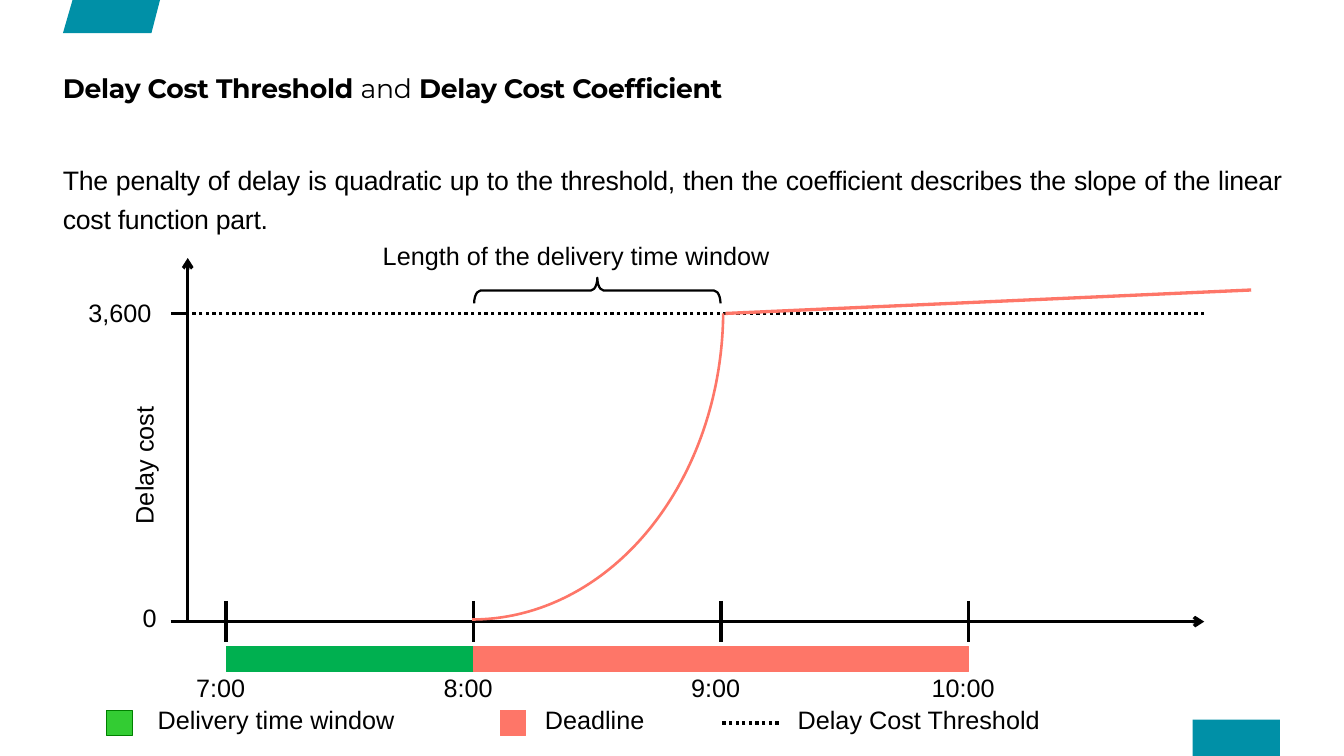
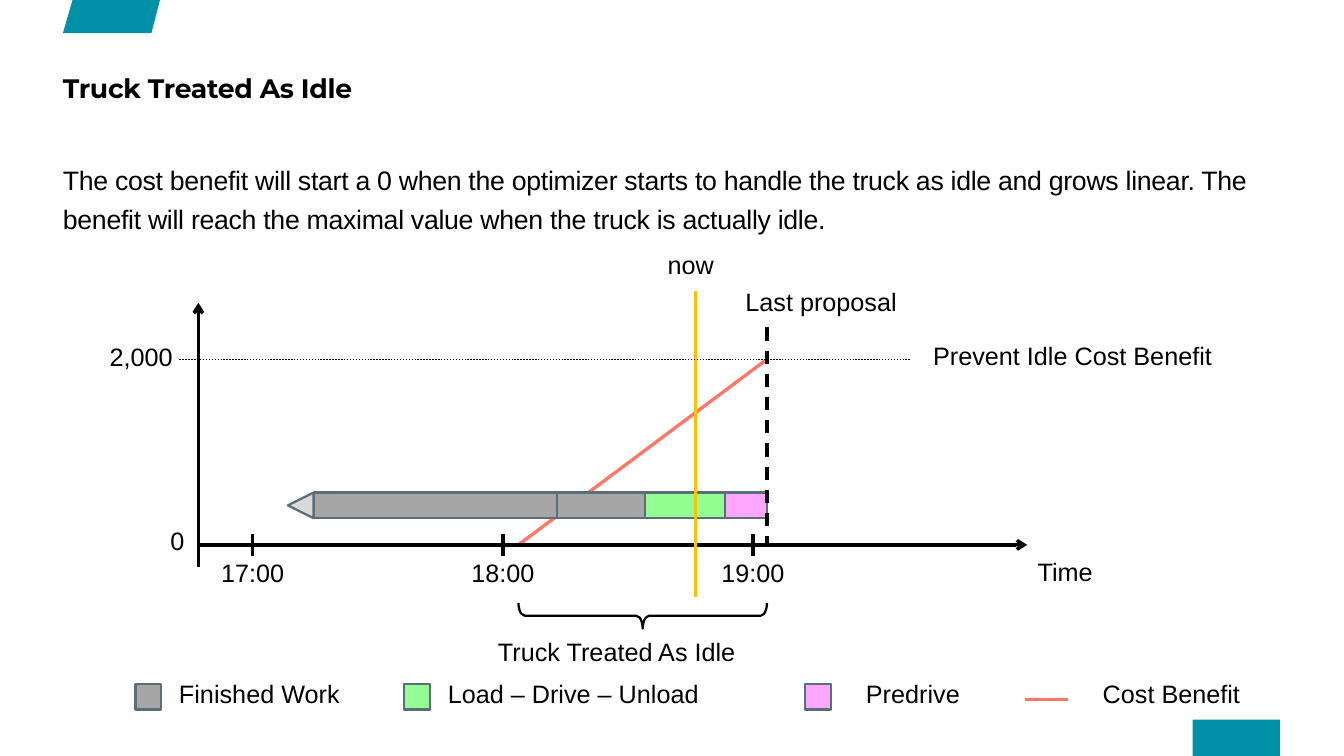
from pptx import Presentation
from pptx.dml.color import RGBColor
from pptx.enum.dml import MSO_LINE
from pptx.enum.shapes import MSO_CONNECTOR, MSO_SHAPE
from pptx.enum.text import MSO_ANCHOR, MSO_AUTO_SIZE, PP_ALIGN
from pptx.oxml.ns import qn
from pptx.util import Inches, Pt
from lxml.etree import SubElement

# Grid: columns and rows of a tenth of an inch
COLUMNS, ROWS = 126, 70.9
LEFT = 5.9

BLACK, TEAL, RED, AMBER = "000000", "0090A7", "FE7668", "FFC000"
GREEN, GREY, SLATE = "00B050", "A6A6A6", "5A6E78"
LIGHT_GREEN, PINK = "93FF93", "FFA6FF"
TITLE_FONT, TEXT_FONT = "Montserrat", "Arial"


def grid(*values):
    return [Inches(value / 10) for value in values]


def color(hex_string):
    return RGBColor.from_string(hex_string)


# Text
def format_run(run, size, font_name=TEXT_FONT, bold=False, spacing=0):
    run.font.size = Pt(size)
    run.font.name = font_name
    run.font.bold = bold
    run.font.color.rgb = color(BLACK)
    if spacing:
        run.font._element.set("spc", str(spacing))


def prepare_frame(shape, margins):
    frame = shape.text_frame
    frame.word_wrap = True
    frame.auto_size = MSO_AUTO_SIZE.NONE
    frame.vertical_anchor = MSO_ANCHOR.TOP
    frame.margin_left = frame.margin_right = Inches(margins[0])
    frame.margin_top = frame.margin_bottom = Inches(margins[1])
    return frame


def add_text(slide, text, box, size=17, align=PP_ALIGN.LEFT, margins=(0.1, 0.05),
             line_spacing=None, spacing=0, rotation=0):
    shape = slide.shapes.add_textbox(*grid(*box))
    shape.rotation = rotation
    frame = prepare_frame(shape, margins)
    frame.text = text
    paragraph = frame.paragraphs[0]
    paragraph.alignment = align
    if line_spacing:
        paragraph.line_spacing = line_spacing
    format_run(paragraph.runs[0], size, spacing=spacing)


def add_label(slide, text, left, top, width=40):
    add_text(slide, text, (left, top, width, 3.9))


def set_title(slide, parts):
    title = slide.shapes.title
    title.left, title.top, title.width, title.height = grid(LEFT, 6.7, 76, 6.7)
    paragraph = prepare_frame(title, (0, 0)).paragraphs[0]
    paragraph.alignment = PP_ALIGN.LEFT
    for text, bold in parts:
        run = paragraph.add_run()
        run.text = text
        format_run(run, 18, TITLE_FONT, bold, -20)


# Shapes and lines
def style_shape(shape, fill=None, line=None, weight=0.75):
    shape.shadow.inherit = False
    if fill:
        shape.fill.solid()
        shape.fill.fore_color.rgb = color(fill)
    else:
        shape.fill.background()
    if line:
        shape.line.color.rgb = color(line)
        shape.line.width = Pt(weight)
    else:
        shape.line.fill.background()


def add_shape(slide, kind, box, fill=None, line=None, weight=0.75,
              rotation=0, adjustments=()):
    shape = slide.shapes.add_shape(kind, *grid(*box))
    shape.rotation = rotation
    for index, value in enumerate(adjustments):
        shape.adjustments[index] = value
    style_shape(shape, fill, line, weight)


def add_line(slide, start, end, line=BLACK, weight=2.25, dash=None, arrow=False):
    connector = slide.shapes.add_connector(
        MSO_CONNECTOR.STRAIGHT, *grid(*start, *end))
    connector.line.color.rgb = color(line)
    connector.line.width = Pt(weight)
    if dash:
        connector.line.dash_style = dash
    properties = connector._element.spPr
    if arrow:
        SubElement(properties.find(qn("a:ln")), qn("a:tailEnd"), type="arrow")
    SubElement(properties, qn("a:effectLst"))


def add_brace(slide, center, middle, length, rotation):
    depth = 2.4
    box = (center - depth / 2, middle - length / 2, depth, length)
    add_shape(slide, MSO_SHAPE.RIGHT_BRACE, box, line=BLACK, weight=1.5,
              rotation=rotation, adjustments=(0.25, 0.5))


# Chart parts
def add_bars(slide, edges, top, fills, lines, weight):
    for left, right, fill, line in zip(edges, edges[1:], fills, lines):
        add_shape(slide, MSO_SHAPE.RECTANGLE, (left, top, right - left, 2.4),
                  fill, line, weight)


def add_hours(slide, hours, first, step, axis, tick, label_top, shift=0):
    for index, hour in enumerate(hours):
        position = first + index * step
        add_line(slide, (position, axis - tick), (position, axis + tick))
        add_text(slide, hour, (position + shift - 5, label_top, 10, 3.9),
                 align=PP_ALIGN.CENTER)


def add_legend(slide, top, boxes):
    for left, label_left, text, fill, line, weight in boxes:
        add_shape(slide, MSO_SHAPE.RECTANGLE, (left, top, 2.4, 2.4),
                  fill, line, weight)
        add_label(slide, text, label_left, top - 1)


# Shared frame of every slide
def add_content_slide(presentation, title_parts, text, align=PP_ALIGN.LEFT):
    slide = presentation.slides.add_slide(presentation.slide_layouts[5])
    set_title(slide, title_parts)
    corners = [(6.8, 0), (LEFT, 3.1), (14.2, 3.1), (15, 0)]
    points = [grid(*corner) for corner in corners]
    builder = slide.shapes.build_freeform(*points[0])
    builder.add_line_segments(points[1:], close=True)
    style_shape(builder.convert_to_shape(), TEAL)
    add_shape(slide, MSO_SHAPE.RECTANGLE, (111.8, 67.5, 8.2, ROWS - 67.5), TEAL)
    add_text(slide, text, (LEFT, 14.8, 114.3, 8), 18, align, (0, 0), 1.2, -20)
    return slide


def build_delay_cost(presentation):
    slide = add_content_slide(
        presentation,
        [("Delay Cost Threshold ", True), ("and", False),
         (" Delay Cost Coefficient", True)],
        "The penalty of delay is quadratic up to the threshold, then the "
        "coefficient describes the slope of the linear cost function part.",
        PP_ALIGN.JUSTIFY)
    axis, origin, threshold, first, step = 58.3, 17.6, 29.4, 21.2, 23.2

    # Axes, hours and time bars
    add_line(slide, (16, axis), (112.9, axis), arrow=True)
    add_hours(slide, ["7:00", "8:00", "9:00", "10:00"], first, step, axis, 1.95,
              62.6, -0.5)
    add_bars(slide, (first, first + step, first + 3 * step), 60.6,
             (GREEN, RED), (GREEN, RED), 0.75)
    add_line(slide, (origin, axis), (origin, 24.2), arrow=True)
    add_line(slide, (origin, threshold), (16, threshold))
    add_text(slide, "Delay cost", (6.9, 41.6, 13.2, 3.9), rotation=270)
    add_label(slide, "0", 12.4, 56, 4)
    add_label(slide, "3,600", 7.3, 27.4, 9)

    # Threshold and cost curve
    add_line(slide, (112.9, threshold), (origin, threshold),
             dash=MSO_LINE.ROUND_DOT)
    add_shape(slide, MSO_SHAPE.ARC, (15.2, 5.5, 58.1, 47.1), line=RED,
              weight=1.75, rotation=90, adjustments=(162.51, 0))
    add_line(slide, (117.3, 27.2), (68, threshold), RED)
    add_brace(slide, 56, 27.25, 23.1, 270)
    add_label(slide, "Length of the delivery time window", 34.9, 22, 57)

    # Legend
    add_legend(slide, 66.6, [
        (10, 13.8, "Delivery time window", "33CC33", "008000", 0.75),
        (46.9, 50.1, "Deadline", RED, RED, 0.75)])
    add_line(slide, (73, 67.8), (67.7, 67.8), dash=MSO_LINE.ROUND_DOT)
    add_label(slide, "Delay Cost Threshold", 73.8, 65.6)


def build_truck_idle(presentation):
    slide = add_content_slide(
        presentation, [("Truck Treated As Idle", True)],
        "The cost benefit will start a 0 when the optimizer starts to handle "
        "the truck as idle and grows linear. The benefit will reach the maximal "
        "value when the truck is actually idle.")
    axis, origin, benefit, idle_start, idle_end = 51.1, 18.6, 33.7, 48.6, 71.9

    # Cost benefit behind the truck's work
    add_line(slide, (idle_end, benefit), (idle_start, axis), RED)
    add_shape(slide, MSO_SHAPE.ISOSCELES_TRIANGLE, (27, 46.2, 2.4, 2.4),
              "D9D9D9", SLATE, 1.5, 270)
    add_bars(slide, (29.4, 52.2, 60.5, 68, idle_end), 46.2,
             (GREY, GREY, LIGHT_GREEN, PINK), [SLATE] * 4, 1.5)

    # Axes and hours
    add_line(slide, (origin, axis), (96.3, axis), arrow=True)
    add_line(slide, (origin, 53.2), (origin, 28.4), arrow=True)
    add_hours(slide, ["17:00", "18:00", "19:00"], 23.7, 23.45, axis, 1, 51.8)
    add_label(slide, "Time", 96.3, 51.7, 10)
    add_label(slide, "0", 15, 48.8, 4)
    add_label(slide, "2,000", 9.3, 31.5, 9)

    # Markers
    add_line(slide, (65.2, 27.3), (65.2, 56), AMBER)
    add_label(slide, "now", 61.6, 22.9, 16)
    add_line(slide, (85.3, benefit), (16.8, benefit), weight=1,
             dash=MSO_LINE.ROUND_DOT)
    add_label(slide, "Prevent Idle Cost Benefit", 86.5, 31.4, 33)
    add_line(slide, (idle_end, 30.7), (idle_end, axis), dash=MSO_LINE.DASH)
    add_label(slide, "Last proposal", 68.9, 26.4, 20)
    add_brace(slide, (idle_start + idle_end) / 2, 57.75,
              idle_end - idle_start, 90)
    add_label(slide, "Truck Treated As Idle", 45.7, 59.2)

    # Legend
    add_legend(slide, 64.15, [
        (12.7, 15.8, "Finished Work", GREY, SLATE, 1.5),
        (37.9, 41, "Load – Drive – Unload", LIGHT_GREEN, SLATE, 1.5),
        (75.5, 80.2, "Predrive", PINK, SLATE, 1.5)])
    add_line(slide, (100.1, 65.6), (96.1, 65.6), RED)
    add_label(slide, "Cost Benefit", 102.4, 63.15, 20)


def main():
    presentation = Presentation()
    presentation.slide_width, presentation.slide_height = grid(COLUMNS, ROWS)
    build_delay_cost(presentation)
    build_truck_idle(presentation)
    presentation.save("out.pptx")


if __name__ == "__main__":
    main()
